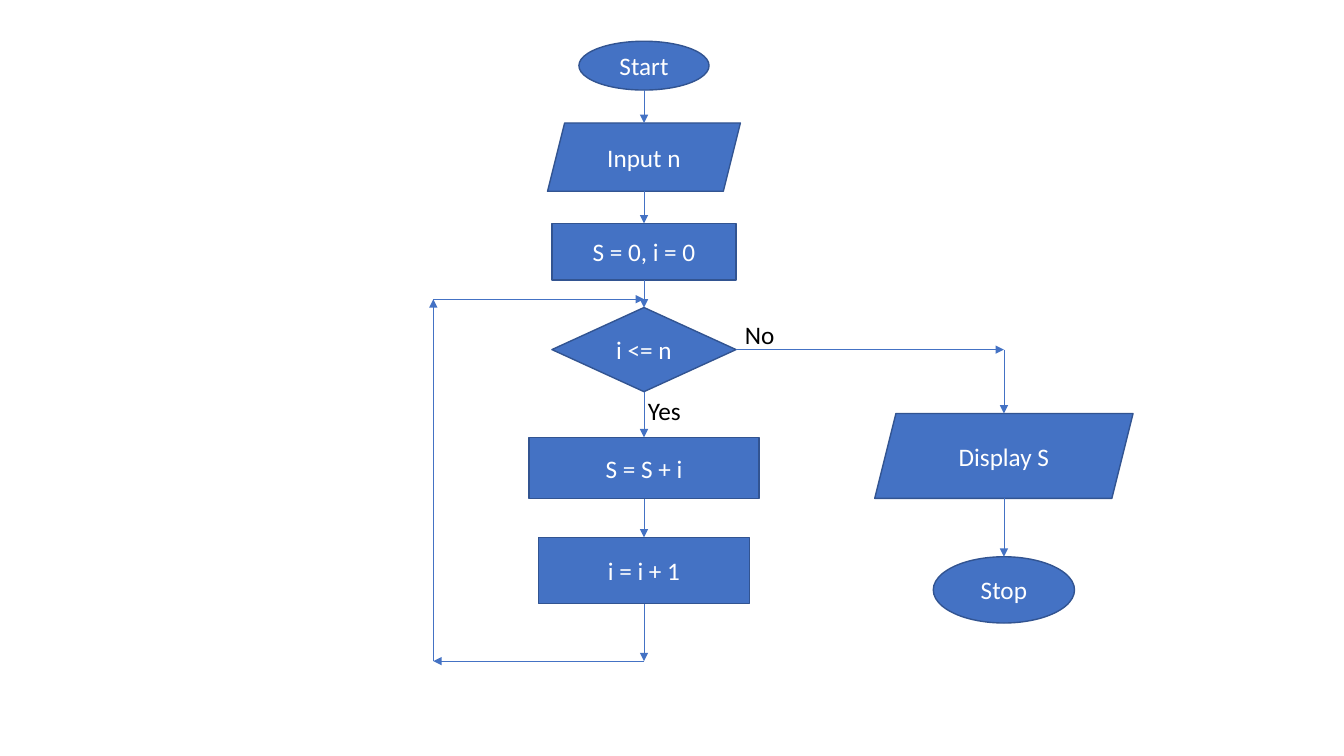
from pptx import Presentation
from pptx.dml.color import RGBColor
from pptx.enum.shapes import MSO_CONNECTOR, MSO_SHAPE
from pptx.enum.text import MSO_ANCHOR, PP_ALIGN
from pptx.oxml.ns import qn
from pptx.util import Cm, Pt
from lxml.etree import SubElement


def color(hex_string):
    """Turn a hex string into a colour."""
    return RGBColor.from_string(hex_string)


def write(frame, text, size=18, font="Calibri", ink="000000",
          align=PP_ALIGN.LEFT, anchor=MSO_ANCHOR.TOP):
    """Put one formatted paragraph into a text frame."""
    frame.word_wrap = True
    frame.vertical_anchor = anchor
    paragraph = frame.paragraphs[0]
    paragraph.alignment = align
    run = paragraph.add_run()
    run.text = text
    run.font.size = Pt(size)
    run.font.name = font
    run.font.color.rgb = color(ink)


class Flowchart:
    """Style and drawing methods for the current slide."""

    fill, outline, ink = "4472C4", "325491", "FFFFFF"

    def __init__(self, slide):
        """Keep the slide to draw on."""
        self.slide = slide

    def step(self, kind, text, center, top, width, height):
        """Draw a step centred on a vertical axis."""
        shape = self.slide.shapes.add_shape(
            kind, Cm(center - width / 2), Cm(top), Cm(width), Cm(height))
        shape.shadow.inherit = False
        shape.fill.solid()
        shape.fill.fore_color.rgb = color(self.fill)
        shape.line.color.rgb = color(self.outline)
        shape.line.width = Pt(1)
        write(shape.text_frame, text, ink=self.ink,
              align=PP_ALIGN.CENTER, anchor=MSO_ANCHOR.MIDDLE)

    def arrow(self, start, end):
        """Draw a straight arrow between two points."""
        line = self.slide.shapes.add_connector(
            MSO_CONNECTOR.STRAIGHT, *(Cm(value) for value in (*start, *end)))
        line.line.color.rgb = color(self.fill)
        line.line.width = Pt(0.5)
        SubElement(line.line._get_or_add_ln(), qn("a:tailEnd"), type="triangle")
        SubElement(line._element.spPr, qn("a:effectLst"))

    def label(self, text, left, top, width):
        """Draw a branch label."""
        box = self.slide.shapes.add_textbox(Cm(left), Cm(top), Cm(width), Cm(1.02))
        write(box.text_frame, text)


presentation = Presentation()
presentation.slide_width, presentation.slide_height = Cm(33.87), Cm(19.05)
chart = Flowchart(presentation.slides.add_slide(presentation.slide_layouts[6]))

main_axis, output_axis, loop_axis = 16.23, 25.3, 10.92
loop_top, loop_bottom, test_middle = 7.54, 16.66, 8.81

# Kind, text, top, width, height
main_steps = [
    (MSO_SHAPE.OVAL, "Start", 1.04, 3.28, 1.23),
    (MSO_SHAPE.PARALLELOGRAM, "Input n", 3.1, 4.86, 1.72),
    (MSO_SHAPE.RECTANGLE, "S = 0, i = 0", 5.63, 4.64, 1.43),
    (MSO_SHAPE.DIAMOND, "i <= n", 7.75, 4.64, 2.12),
    (MSO_SHAPE.RECTANGLE, "S = S + i", 11.02, 5.79, 1.55),
    (MSO_SHAPE.RECTANGLE, "i = i + 1", 13.54, 5.32, 1.67),
]
output_steps = [
    (MSO_SHAPE.PARALLELOGRAM, "Display S", 10.42, 6.51, 2.14),
    (MSO_SHAPE.OVAL, "Stop", 14.03, 3.56, 1.67),
]

for axis, steps in ((main_axis, main_steps), (output_axis, output_steps)):
    for kind, text, top, width, height in steps:
        chart.step(kind, text, axis, top, width, height)
    for upper, lower in zip(steps, steps[1:]):
        chart.arrow((axis, upper[2] + upper[4]), (axis, lower[2]))

test_right = main_axis + main_steps[3][3] / 2
chart.arrow((test_right, test_middle), (output_axis, test_middle))
chart.arrow((output_axis, test_middle), (output_axis, output_steps[0][2]))

increment_bottom = main_steps[-1][2] + main_steps[-1][4]
loop = [(main_axis, increment_bottom), (main_axis, loop_bottom),
        (loop_axis, loop_bottom), (loop_axis, loop_top), (main_axis, loop_top)]
for start, end in zip(loop, loop[1:]):
    chart.arrow(start, end)

chart.label("No", 18.52, 7.92, 3.68)
chart.label("Yes", 16.08, 9.83, 1.85)

presentation.save("out.pptx")
